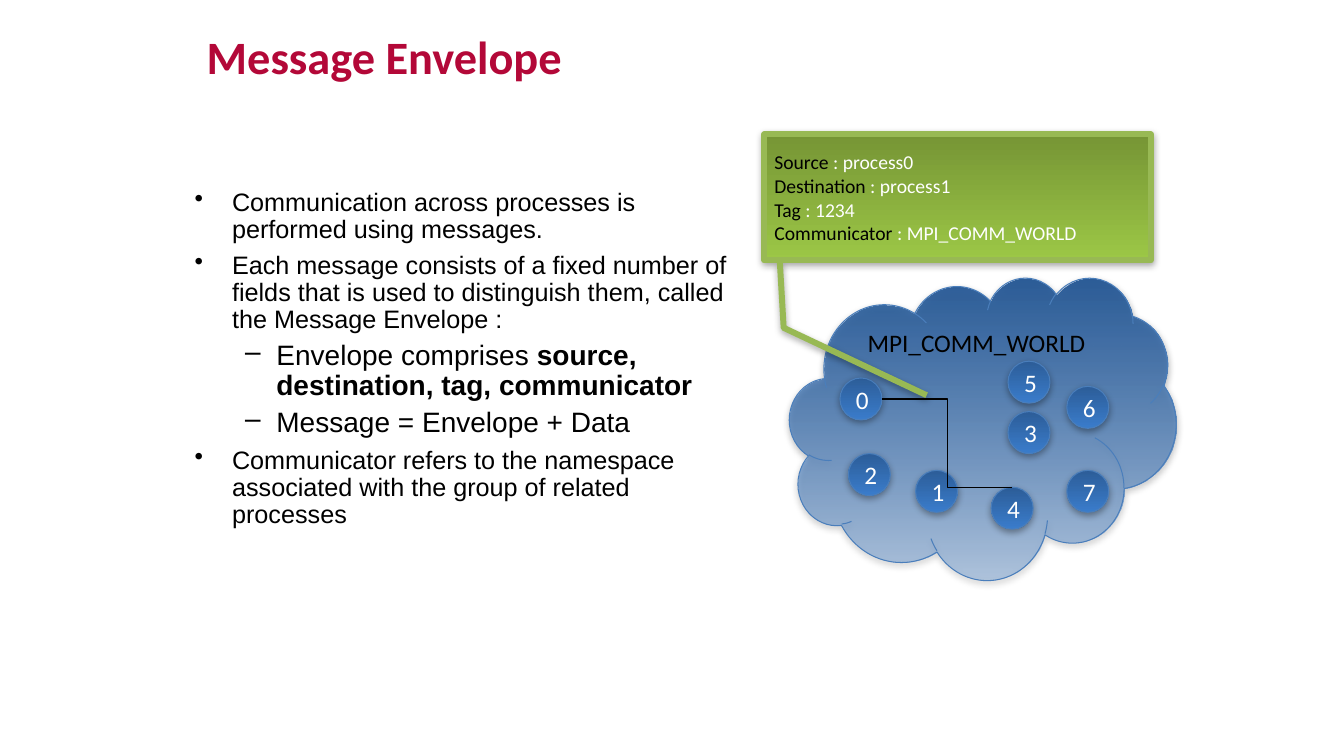
"""Build the Message Envelope slide: bullet points beside a cloud of processes."""
from lxml import etree
from pptx import Presentation
from pptx import util as u
from pptx.dml.color import RGBColor
from pptx.enum import shapes, text
from pptx.oxml import ns

TITLE = "Message Envelope"
POINTS = [
    (0, [("Communication across processes is performed using messages.", False)]),
    (0, [("Each message consists of a fixed number of fields that is used to "
          "distinguish them, called the Message Envelope :", False)]),
    (1, [("Envelope comprises ", False),
         ("source, destination, tag, communicator", True)]),
    (1, [("Message = Envelope + Data", False)]),
    (0, [("Communicator refers to the namespace associated with the group of "
          "related processes", False)]),
]
LEVELS = [
    {"bullet": "•", "margin": 0.37, "hang": 0.37, "size": 18, "before": 6},
    {"bullet": "–", "margin": 0.81, "hang": 0.31, "size": 20, "before": 5},
]
WORLD = "MPI_COMM_WORLD"
PROCESSES = {"0": (100, 45), "1": (109, 56), "2": (101, 54), "5": (120, 43),
             "3": (120, 49), "4": (118, 58), "6": (127, 46), "7": (127, 56)}
ENVELOPE = [("Source ", ": process0"), ("Destination", " : process1"),
            ("Tag", " : 1234"), ("Communicator", " : " + WORLD)]
POINTER = [1.01, 0.04, 1.535, 0.05, 2.07, 0.42]
COLORS = {"title": "B30838", "black": "000000", "white": "FFFFFF",
          "blue_top": "2C5D98", "blue_base": "3A7CCB", "blue_line": "4A7EBB",
          "green_top": "769535", "green_base": "9CC746", "green_line": "98B954"}
COLUMNS, ROWS = 160, 90
NODE = 5

deck = Presentation()
deck.slide_width, deck.slide_height = u.Inches(13.33), u.Inches(7.5)
slide = deck.slides.add_slide(deck.slide_layouts[5])


def grid(column, row):
    return (round(deck.slide_width * column / COLUMNS),
            round(deck.slide_height * row / ROWS))


def color(name):
    return RGBColor.from_string(COLORS[name])


def style(font, face, size, shade, bold=False):
    font.name, font.size, font.bold = face, u.Pt(size), bold
    font.color.rgb = color(shade)


def raised(preset, corner, extent, hue, line_width):
    """Add a shape with a vertical gradient and a soft shadow below."""
    body = slide.shapes.add_shape(preset, *grid(*corner), *grid(*extent))
    body.fill.gradient()
    body.fill.gradient_angle = 270
    for stop, place, end in zip(body.fill.gradient_stops, (0, 1), ("top", "base")):
        stop.position, stop.color.rgb = place, color(f"{hue}_{end}")
    body.line.color.rgb, body.line.width = color(f"{hue}_line"), u.Pt(line_width)
    body.shadow.inherit = False
    effects = body.element.spPr.find(ns.qn("a:effectLst"))
    shadow = etree.SubElement(effects, ns.qn("a:outerShdw"), blurRad=str(u.Pt(5)),
                              dist=str(u.Pt(1.8)), dir="5400000", rotWithShape="0")
    shade = etree.SubElement(shadow, ns.qn("a:srgbClr"), val=COLORS["black"])
    etree.SubElement(shade, ns.qn("a:alpha"), val="35000")
    return body


def label(body, words, align, shade, anchor):
    body.text_frame.vertical_anchor = anchor
    line = body.text_frame.paragraphs[0]
    line.text, line.alignment = words, align
    style(line.font, "Calibri", 18, shade)


def add_title():
    title = slide.shapes.title
    title.left, title.top = u.Inches(1.95), u.Inches(0.3)
    title.width, title.height = u.Inches(8.34), u.Inches(0.61)
    title.text_frame.vertical_anchor = text.MSO_ANCHOR.MIDDLE
    heading = title.text_frame.paragraphs[0]
    heading.text, heading.alignment = TITLE, text.PP_ALIGN.LEFT
    heading.line_spacing = 0.8
    style(heading.font, "Calibri", 33.1, "title", True)


def add_points():
    frame = slide.shapes.add_textbox(*grid(22, 22), *grid(66, 62)).text_frame
    frame.word_wrap = True
    for index, (depth, pieces) in enumerate(POINTS):
        level = LEVELS[depth]
        point = frame.add_paragraph() if index else frame.paragraphs[0]
        point.level, point.line_spacing = depth, 0.9
        point.space_before = u.Pt(level["before"] if index else 0)
        layout = point._p.get_or_add_pPr()
        layout.set("marL", str(u.Inches(level["margin"])))
        layout.set("indent", str(-u.Inches(level["hang"])))
        etree.SubElement(layout, ns.qn("a:buChar"), char=level["bullet"])
        style(point.font, "Arial", level["size"], "black")
        for words, bold in pieces:
            piece = point.add_run()
            piece.text = words
            if bold:
                piece.font.bold = True


def add_world():
    cloud = raised(shapes.MSO_SHAPE.CLOUD, (94, 33), (46, 36), "blue", 0.75)
    base = cloud.element.spPr.findall(".//" + ns.qn("a:srgbClr"))[1]
    etree.SubElement(base, ns.qn("a:alpha"), val="31000")
    label(cloud, WORLD, text.PP_ALIGN.RIGHT, "black", text.MSO_ANCHOR.TOP)
    for rank, corner in PROCESSES.items():
        node = raised(shapes.MSO_SHAPE.OVAL, corner, (NODE, NODE), "blue", 0.75)
        label(node, rank, text.PP_ALIGN.CENTER, "white", text.MSO_ANCHOR.MIDDLE)
    (sender_x, sender_y), (target_x, target_y) = PROCESSES["0"], PROCESSES["4"]
    link = slide.shapes.add_connector(
        shapes.MSO_CONNECTOR.ELBOW, *grid(sender_x + NODE, sender_y + NODE / 2),
        *grid(target_x + NODE / 2, target_y))
    link.line.color.rgb, link.line.width = color("black"), u.Pt(0.75)
    etree.SubElement(link.element.spPr, ns.qn("a:effectLst"))


def add_envelope():
    callout = raised(shapes.MSO_SHAPE.LINE_CALLOUT_2, (91, 16), (46, 15), "green", 4.25)
    for index, share in enumerate(POINTER):
        callout.adjustments[index] = share
    frame = callout.text_frame
    frame.vertical_anchor = text.MSO_ANCHOR.MIDDLE
    for index, field in enumerate(ENVELOPE):
        line = frame.add_paragraph() if index else frame.paragraphs[0]
        line.alignment = text.PP_ALIGN.LEFT
        line.font.name, line.font.size = "Calibri", u.Pt(14)
        for words, shade in zip(field, ("black", "white")):
            part = line.add_run()
            part.text, part.font.color.rgb = words, color(shade)


add_title()
add_points()
add_world()
add_envelope()
deck.save("out.pptx")
